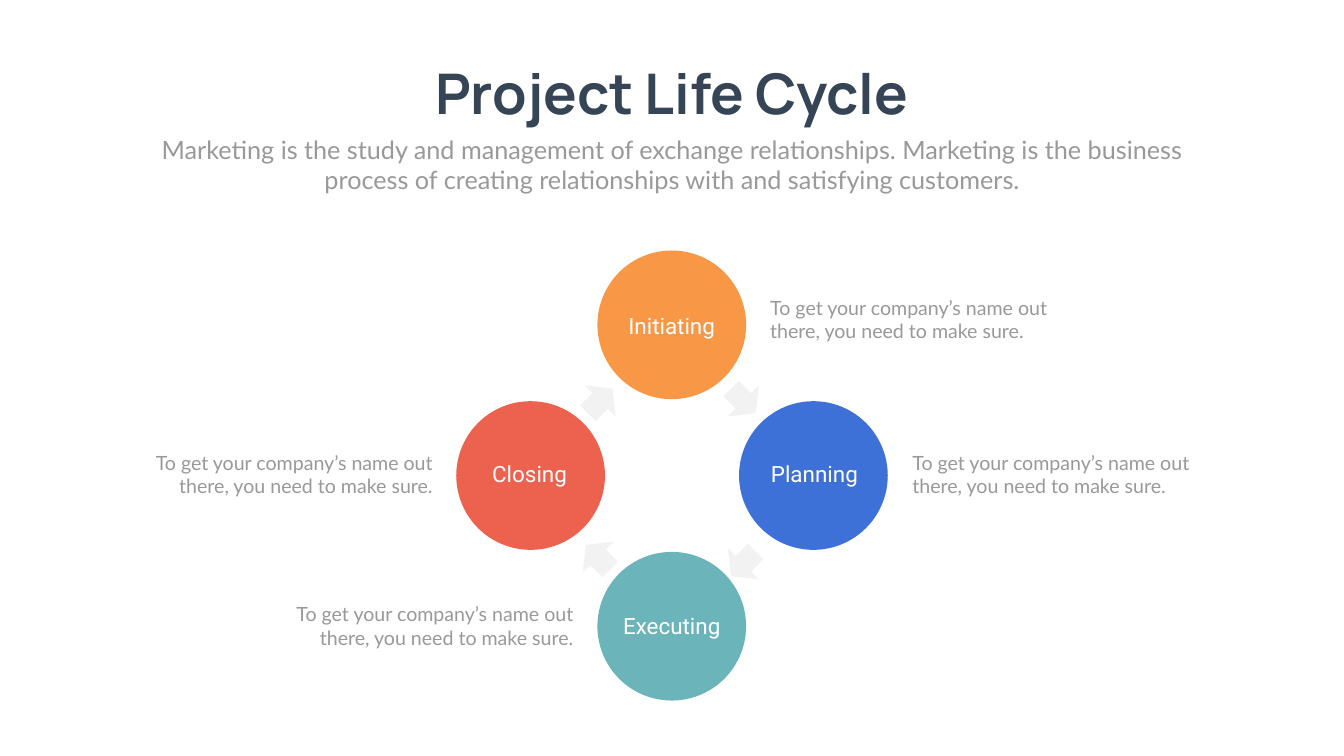
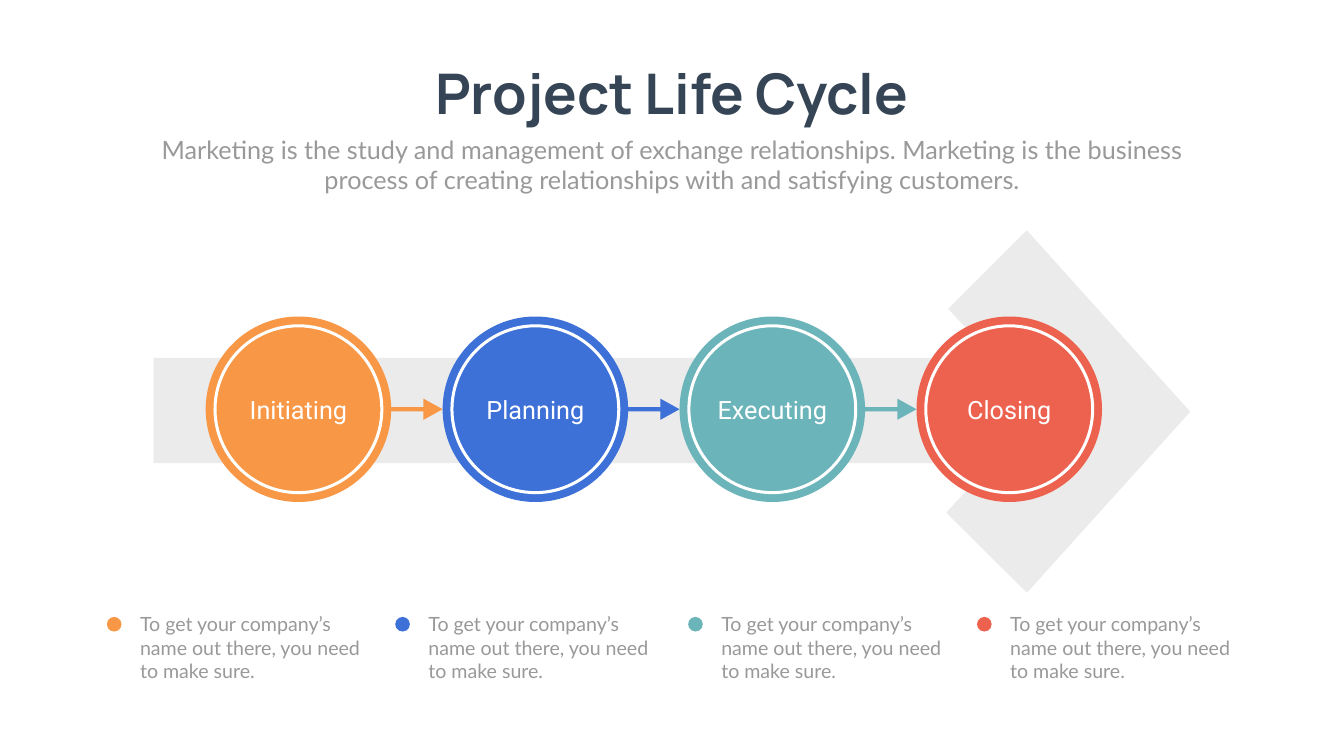
"""Build two project life cycle slides: a circular cycle and an arrow timeline."""
from dataclasses import dataclass

from pptx import Presentation
from pptx import util as u
from pptx.dml.color import RGBColor
from pptx.enum import shapes, text

COLORS = {
    "background": "FFFFFF",
    "title": "364556",
    "body": "999999",
    "white": "FFFFFF",
    "cycle_arrow": "F2F2F2",
    "big_arrow": "EBEBEB",
    "Initiating": "F89746",
    "Planning": "3D71D7",
    "Executing": "6AB4BA",
    "Closing": "ED614F",
}
TITLE = "Project Life Cycle"
SUBTITLE = (
    "Marketing is the study and management of exchange relationships. "
    "Marketing is the business process of creating relationships with "
    "and satisfying customers."
)
NOTE = "To get your company’s name out there, you need to make sure."

LEFT, CENTER, RIGHT = text.PP_ALIGN.LEFT, text.PP_ALIGN.CENTER, text.PP_ALIGN.RIGHT
OVAL = shapes.MSO_SHAPE.OVAL

LABEL_WIDTH = 2.95
CYCLE_CIRCLE = 2.95
STEP_CIRCLE = 3.68
STEP_RING = 3.37
RING_WIDTH = 0.06
STEP_LEFT, STEP_PITCH, STEP_MIDDLE = 4.08, 4.7, 8.12
DOT = 0.29


@dataclass(frozen=True)
class TextStyle:
    font: str
    size: int
    color: str
    align: text.PP_ALIGN = LEFT
    bold: bool = False


@dataclass(frozen=True)
class Phase:
    name: str
    left: float
    top: float
    label_left: float
    label_top: float
    note_left: float
    note_top: float
    note_align: text.PP_ALIGN


@dataclass(frozen=True)
class CycleArrow:
    left: float
    top: float
    rotation: int


@dataclass(frozen=True)
class Step:
    name: str
    dot_left: float


TITLE_STYLE = TextStyle("Manrope", 80, "title", CENTER, True)
SUBTITLE_STYLE = TextStyle("Lato", 36, "body", CENTER)
CYCLE_LABEL = TextStyle("Roboto", 32, "white", CENTER)
STEP_LABEL = TextStyle("Roboto", 36, "white", CENTER)
STEP_NOTE = TextStyle("Lato", 28, "body")

PHASES = [
    Phase("Initiating", 11.85, 4.97, 11.85, 6.14, 15.18, 5.82, LEFT),
    Phase("Executing", 11.85, 10.95, 11.85, 12.1, 5.23, 11.9, RIGHT),
    Phase("Planning", 14.66, 7.96, 14.68, 9.08, 18, 8.89, LEFT),
    Phase("Closing", 9.05, 7.96, 9.03, 9.08, 2.44, 8.89, RIGHT),
]
CYCLE_ARROWS = [
    CycleArrow(11.56, 7.52, 315),
    CycleArrow(14.4, 7.52, 45),
    CycleArrow(11.52, 10.62, 225),
    CycleArrow(14.4, 10.75, 135),
]
STEPS = [
    Step("Initiating", 2.12),
    Step("Planning", 7.84),
    Step("Executing", 13.65),
    Step("Closing", 19.38),
]
BIG_ARROW = [
    (20.37, 11.76), (23.61, 8.17), (20.37, 4.57), (18.81, 6.13), (19.72, 7.1),
    (3.05, 7.1), (3.05, 9.19), (19.68, 9.19), (18.77, 10.17),
]
STEP_ARROW = [
    (0, -0.04), (0.64, -0.04), (0.64, -0.21), (1.02, 0),
    (0.64, 0.21), (0.64, 0.04), (0, 0.04),
]


def rgb(color: str) -> RGBColor:
    return RGBColor.from_string(COLORS[color])


def paint(shape, color: str) -> None:
    shape.shadow.inherit = False
    shape.fill.solid()
    shape.fill.fore_color.rgb = rgb(color)
    shape.line.fill.background()


def write(box, content: str, style: TextStyle, wrap: bool = True) -> None:
    frame = box.text_frame
    frame.text = content
    frame.word_wrap = wrap
    frame.auto_size = text.MSO_AUTO_SIZE.SHAPE_TO_FIT_TEXT
    frame.vertical_anchor = text.MSO_ANCHOR.TOP
    para = frame.paragraphs[0]
    para.alignment = style.align
    font = para.runs[0].font
    font.name = style.font
    font.size = u.Pt(style.size)
    font.bold = style.bold
    font.color.rgb = rgb(style.color)


def add_text(page, left: float, top: float, width: float, height: float,
             content: str, style: TextStyle) -> None:
    box = page.shapes.add_textbox(*map(u.Inches, (left, top, width, height)))
    write(box, content, style)


def add_preset(page, kind: shapes.MSO_SHAPE, left: float, top: float,
               width: float, height: float, color: str):
    shape = page.shapes.add_shape(kind, *map(u.Inches, (left, top, width, height)))
    paint(shape, color)
    return shape


def add_outline(page, points: list[tuple[float, float]], color: str,
                left: float = 0, top: float = 0) -> None:
    corners = [(u.Inches(left + x), u.Inches(top + y)) for x, y in points]
    builder = page.shapes.build_freeform(*corners[0])
    builder.add_line_segments(corners[1:], close=True)
    paint(builder.convert_to_shape(), color)


def add_page(deck):
    page = deck.slides.add_slide(deck.slide_layouts[5])
    page.background.fill.solid()
    page.background.fill.fore_color.rgb = rgb("background")
    title = page.shapes.title
    title.left, title.top = u.Inches(8.35), u.Inches(1.12)
    title.width, title.height = u.Inches(9.95), u.Inches(1.45)
    write(title, TITLE, TITLE_STYLE, wrap=False)
    add_text(page, 2.92, 2.61, 20.82, 1.31, SUBTITLE, SUBTITLE_STYLE)
    return page


def draw_cycle(page) -> None:
    for phase in PHASES:
        add_preset(page, OVAL, phase.left, phase.top,
                   CYCLE_CIRCLE, CYCLE_CIRCLE, phase.name)
    for arrow in CYCLE_ARROWS:
        shape = add_preset(page, shapes.MSO_SHAPE.RIGHT_ARROW, arrow.left, arrow.top,
                           0.69, 0.87, "cycle_arrow")
        shape.rotation = arrow.rotation
    for phase in PHASES:
        add_text(page, phase.label_left, phase.label_top, LABEL_WIDTH, 0.64,
                 phase.name, CYCLE_LABEL)
        add_text(page, phase.note_left, phase.note_top, 6.24, 1.04, NOTE,
                 TextStyle("Lato", 28, "body", phase.note_align))


def draw_step(page, step: Step, left: float, has_next: bool) -> None:
    center = left + STEP_CIRCLE / 2
    add_preset(page, OVAL, left, STEP_MIDDLE - STEP_CIRCLE / 2,
               STEP_CIRCLE, STEP_CIRCLE, step.name)
    if has_next:
        add_outline(page, STEP_ARROW, step.name, left + STEP_CIRCLE, STEP_MIDDLE)
    ring = add_preset(page, shapes.MSO_SHAPE.DONUT, center - STEP_RING / 2,
                      STEP_MIDDLE - STEP_RING / 2, STEP_RING, STEP_RING, "white")
    ring.adjustments[0] = RING_WIDTH / STEP_RING
    add_text(page, center - LABEL_WIDTH / 2, 7.77, LABEL_WIDTH, 0.71,
             step.name, STEP_LABEL)
    add_preset(page, OVAL, step.dot_left, 12.24, DOT, DOT, step.name)
    add_text(page, step.dot_left + 0.56, 12.1, 4.6, 1.51, NOTE, STEP_NOTE)


def draw_timeline(page) -> None:
    add_outline(page, BIG_ARROW, "big_arrow")
    for index, step in enumerate(STEPS):
        draw_step(page, step, STEP_LEFT + index * STEP_PITCH, index < len(STEPS) - 1)


def main() -> None:
    deck = Presentation()
    deck.slide_width, deck.slide_height = u.Inches(26.66), u.Inches(15)
    draw_cycle(add_page(deck))
    draw_timeline(add_page(deck))
    deck.save("out.pptx")


if __name__ == "__main__":
    main()
